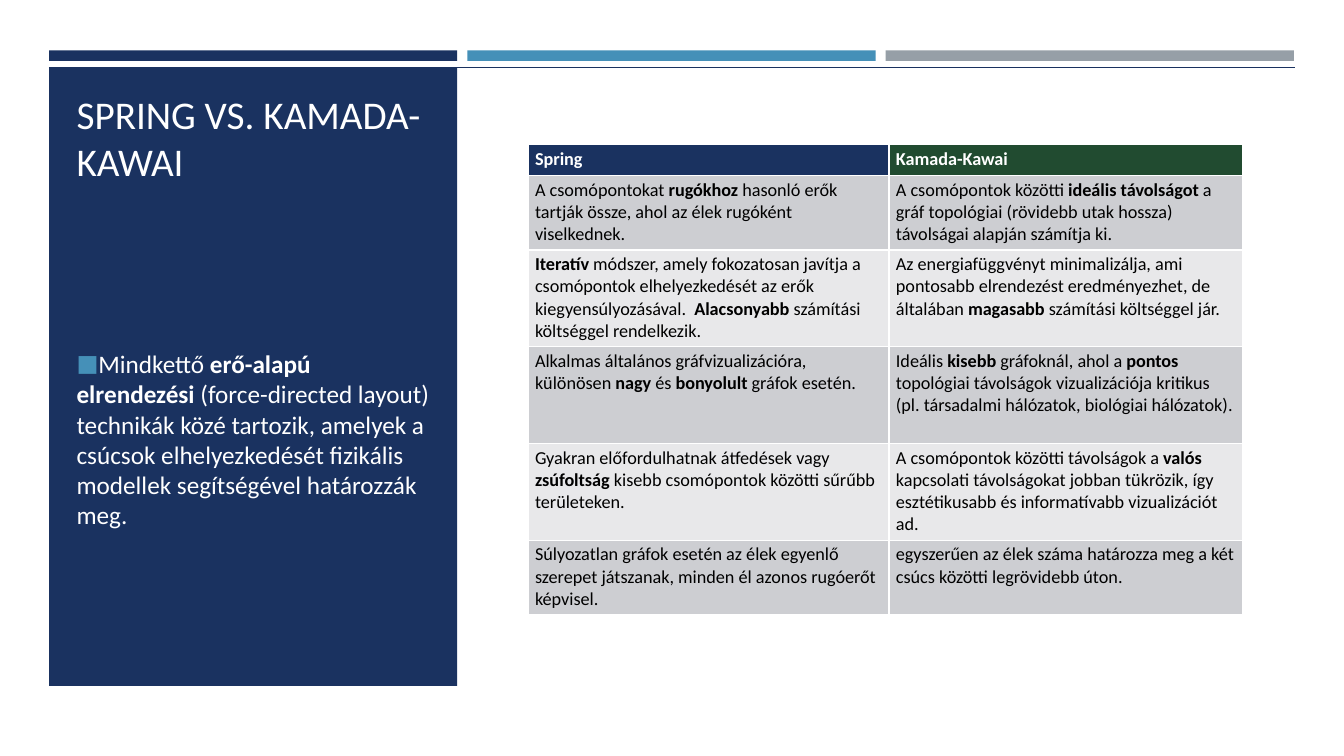
"""Builds a slide comparing the Spring and Kamada-Kawai graph layouts."""
from lxml.etree import SubElement
from pptx import Presentation
from pptx.dml.color import RGBColor
from pptx.enum.shapes import MSO_CONNECTOR, MSO_SHAPE
from pptx.enum.text import MSO_ANCHOR, MSO_AUTO_SIZE, PP_ALIGN
from pptx.oxml.ns import qn
from pptx.util import Pt

NAVY, BLUE, GRAY, GREEN = "1A3260", "4590B8", "969FA7", "214B30"
WHITE, BLACK = "FFFFFF", "000000"
BANDS = ["CDCED2", "E8E8EA"]


def color(hex_code):
    return RGBColor.from_string(hex_code)


def write(paragraph, text, size, hex_code):
    paragraph.alignment = PP_ALIGN.LEFT
    paragraph.font.name = "Calibri"
    paragraph.font.size = Pt(size)
    paragraph.font.color.rgb = color(hex_code)
    for number, part in enumerate(text.split("**")):
        if part:
            span = paragraph.add_run()
            span.text = part
            span.font.bold = number % 2 == 1


deck = Presentation()
deck.slide_width, deck.slide_height = Pt(960), Pt(540)
page = deck.slides.add_slide(deck.slide_layouts[1])

blocks = [(35 + 298.8 * number, 36, 7.5, fill) for number, fill in enumerate([NAVY, BLUE, GRAY])]
blocks.append((35, 48, 442, NAVY))
for left, top, height, fill in blocks:
    block = page.shapes.add_shape(MSO_SHAPE.RECTANGLE, Pt(left), Pt(top), Pt(291.6), Pt(height))
    block.shadow.inherit = False
    block.fill.solid()
    block.fill.fore_color.rgb = color(fill)
    block.line.fill.background()

rule = page.shapes.add_connector(MSO_CONNECTOR.STRAIGHT, Pt(35), Pt(48), Pt(925), Pt(48))
rule.line.color.rgb = color(NAVY)
rule.line.width = Pt(0.5)
SubElement(rule.element.spPr, qn("a:effectLst"))

title, body = page.shapes.title, page.placeholders[1]
for holder, top, height, anchor in [(title, 55.4, 80, MSO_ANCHOR.BOTTOM), (body, 155, 317.5, MSO_ANCHOR.MIDDLE)]:
    holder.left, holder.top, holder.width, holder.height = Pt(47.5), Pt(top), Pt(268.6), Pt(height)
    holder.text_frame.word_wrap = True
    holder.text_frame.auto_size = MSO_AUTO_SIZE.NONE
    holder.text_frame.vertical_anchor = anchor
    page.shapes.element.append(holder.element)

write(title.text_frame.paragraphs[0], "SPRING VS. KAMADA-KAWAI", 28, WHITE)

point = body.text_frame.paragraphs[0]
properties = point._p.get_or_add_pPr()
properties.set("marL", "0")
properties.set("indent", "0")
SubElement(SubElement(properties, qn("a:buClr")), qn("a:srgbClr"), val=BLUE)
SubElement(properties, qn("a:buSzPct"), val="92000")
SubElement(properties, qn("a:buFont"), typeface="Calibri")
SubElement(properties, qn("a:buChar"), char="■")
point.space_before = Pt(0)
point.space_after = Pt(6)
write(point, "Mindkettő **erő-alapú elrendezési** (force-directed layout) technikák közé tartozik, "
      "amelyek a csúcsok elhelyezkedését fizikális modellek segítségével határozzák meg.", 18, WHITE)

rows = [
    ("**Spring**", "**Kamada-Kawai**"),
    ("A csomópontokat **rugókhoz** hasonló erők tartják össze, ahol az élek rugóként viselkednek.",
     "A csomópontok közötti **ideális távolságot** a gráf topológiai (rövidebb utak hossza) "
     "távolságai alapján számítja ki."),
    ("**Iteratív** módszer, amely fokozatosan javítja a csomópontok elhelyezkedését az erők "
     "kiegyensúlyozásával.  **Alacsonyabb** számítási költséggel rendelkezik.",
     "Az energiafüggvényt minimalizálja, ami pontosabb elrendezést eredményezhet, de általában "
     "**magasabb** számítási költséggel jár."),
    ("Alkalmas általános gráfvizualizációra, különösen **nagy** és **bonyolult** gráfok esetén.",
     "Ideális **kisebb** gráfoknál, ahol a **pontos** topológiai távolságok vizualizációja kritikus "
     "(pl. társadalmi hálózatok, biológiai hálózatok)."),
    ("Gyakran előfordulhatnak átfedések vagy **zsúfoltság** kisebb csomópontok közötti sűrűbb területeken.",
     "A csomópontok közötti távolságok a **valós** kapcsolati távolságokat jobban tükrözik, így "
     "esztétikusabb és informatívabb vizualizációt ad."),
    ("Súlyozatlan gráfok esetén az élek egyenlő szerepet játszanak, minden él azonos rugóerőt képvisel.",
     "egyszerűen az élek száma határozza meg a két csúcs közötti legrövidebb úton."),
]
heights = [22.3, 53.3, 69.1, 69.1, 69.1, 53.3]
table = page.shapes.add_table(len(rows), 2, Pt(377.3), Pt(103), Pt(510.5), Pt(sum(heights))).table
for column, width in zip(table.columns, [257.8, 252.7]):
    column.width = Pt(width)
for row_number, (texts, height) in enumerate(zip(rows, heights)):
    table.rows[row_number].height = Pt(height)
    for column_number, text in enumerate(texts):
        header = row_number == 0
        cell = table.cell(row_number, column_number)
        cell.margin_left = cell.margin_right = Pt(4.9)
        cell.margin_top = cell.margin_bottom = Pt(2.5)
        cell.fill.solid()
        fill = [NAVY, GREEN][column_number] if header else BANDS[(row_number - 1) % 2]
        cell.fill.fore_color.rgb = color(fill)
        write(cell.text_frame.paragraphs[0], text, 13, WHITE if header else BLACK)

deck.save("out.pptx")
